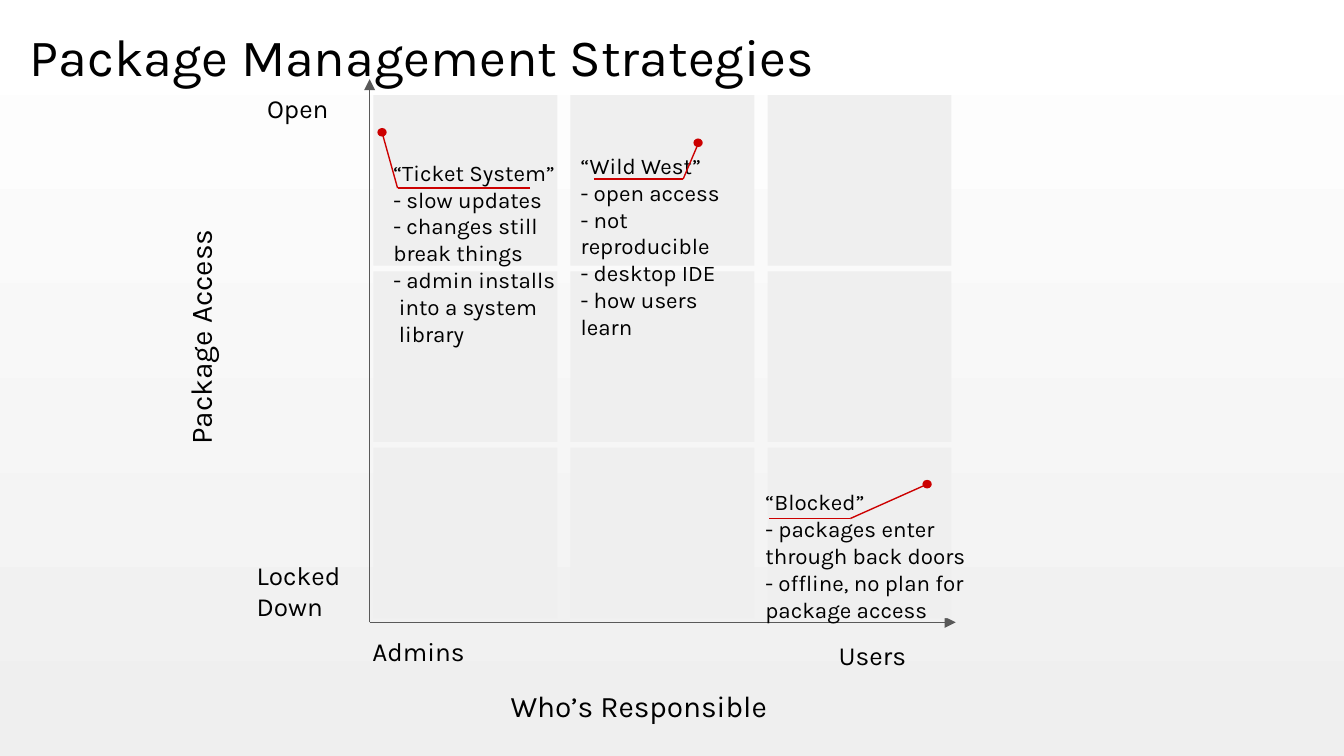
"""Build the package management strategies slide."""
import pptx
import pptx.dml.color
import pptx.enum.shapes
import pptx.oxml
import pptx.oxml.ns
import pptx.util

Pt = pptx.util.Pt
COLOURS = {"text": "000000", "axis": "595959", "cell": "EFEFEF", "accent": "CC0000",
           "top": "FFFFFF", "bottom": "EFEFEF"}
RGB = {name: pptx.dml.color.RGBColor.from_string(value) for name, value in COLOURS.items()}
SHAPES = pptx.enum.shapes.MSO_SHAPE

presentation = pptx.Presentation()
presentation.slide_width, presentation.slide_height = Pt(720), Pt(405)
slide = presentation.slides.add_slide(presentation.slide_layouts[6])

background = slide.background.fill
background.gradient()
background.gradient_angle = 270
for stop, name in zip(background.gradient_stops, ("top", "bottom")):
    stop.color.rgb = RGB[name]


def add_text(text, left, top, width, height, size):
    shape = slide.shapes.add_textbox(Pt(left), Pt(top), Pt(width), Pt(height))
    frame = shape.text_frame
    frame.word_wrap = True
    frame.margin_left = frame.margin_right = frame.margin_top = frame.margin_bottom = Pt(7.2)
    frame.text = text
    for paragraph in frame.paragraphs:
        for run in paragraph.runs:
            run.font.name = "Karla"
            run.font.size = Pt(size)
            run.font.color.rgb = RGB["text"]
    return shape


def add_line(start, end, colour, arrow=False):
    connector = slide.shapes.add_connector(
        pptx.enum.shapes.MSO_CONNECTOR.STRAIGHT, *(Pt(value) for value in start + end))
    connector.line.color.rgb = RGB[colour]
    connector.line.width = Pt(0.75)
    if arrow:
        tail = pptx.oxml.parse_xml(
            f'<a:tailEnd {pptx.oxml.ns.nsdecls("a")} type="triangle"/>')
        connector.line._get_or_add_ln().append(tail)
    connector._element.spPr.append(
        pptx.oxml.parse_xml(f'<a:effectLst {pptx.oxml.ns.nsdecls("a")}/>'))


add_text("Package Management Strategies", 8.8, 6, 671, 45, 28)

origin = (198, 333.4)
for axis_end in ((198, 42.4), (512, 333.4)):
    add_line(origin, axis_end, "axis", arrow=True)

add_text("Who’s Responsible", 266.4, 361.4, 176.4, 28, 16)
add_text("Package Access", 23.8, 139.7, 172, 39, 16).rotation = 270
for label, left, top, width in (
    ("Open", 136, 42.5, 62),
    ("Locked Down", 130.4, 292.3, 74),
    ("Admins", 192.4, 333.4, 68),
    ("Users", 442.2, 335.5, 68),
):
    add_text(label, left, top, width, 28, 14)

cells = [(SHAPES.RECTANGLE, 200 + 105.6 * column, 51 + 94.4 * row, 98.6, 91.4, "cell")
         for row in range(3) for column in range(3)]
dots = [(SHAPES.OVAL, left, top, 5, 4.6, "accent")
        for left, top in ((202.2, 68.6), (371.5, 74.2), (494.2, 257.1))]
for kind, left, top, width, height, colour in cells + dots:
    shape = slide.shapes.add_shape(kind, Pt(left), Pt(top), Pt(width), Pt(height))
    shape.shadow.inherit = False
    shape.fill.solid()
    shape.fill.fore_color.rgb = RGB[colour]
    shape.line.fill.background()

add_text("“Wild West”\n- open access\n- not reproducible\n- desktop IDE\n- how users learn",
         304, 74.2, 101.5, 56, 12)
ticket_system = add_text(
    "“Ticket System”\n- slow updates\n- changes still\nbreak things\n"
    "- admin installs\ninto a system\nlibrary", 203.6, 77.9, 110, 131, 12)
for paragraph in ticket_system.text_frame.paragraphs[-2:]:
    paragraph._p.get_or_add_pPr().set("marL", str(Pt(3)))
add_text("“Blocked”\n- packages enter through back doors\n"
         "- offline, no plan for\npackage access", 403, 254.4, 130, 56, 12)

for underline_end, corner, dot in (
    ((318.2, 95.9), (366, 95.9), (373.8, 77.6)),
    ((283.8, 100.8), (213, 100.8), (204.6, 70.6)),
    ((412.2, 277.8), (455.5, 277.8), (495.4, 260)),
):
    add_line(underline_end, corner, "accent")
    add_line(corner, dot, "accent")

presentation.save("out.pptx")
